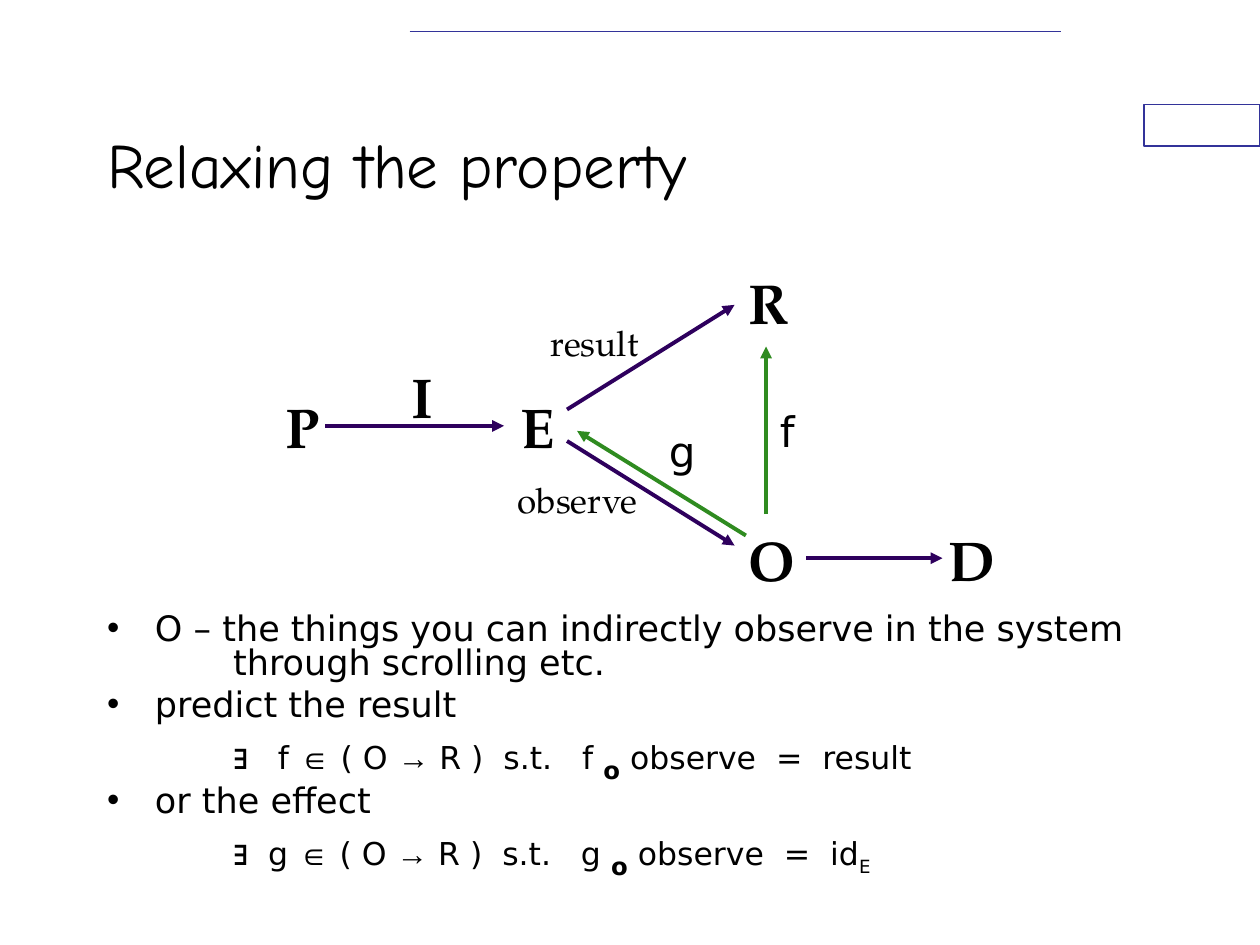
from lxml import etree
from pptx import Presentation
from pptx import util as u
from pptx.dml.color import RGBColor
from pptx.enum import shapes, text
from pptx.oxml import ns

SANS, SERIF, TITLE, SYMBOL = "DejaVu Sans", "TeX Gyre Pagella", "Comic Neue", "Arial"
BLACK, WHITE, FRAME, PURPLE, GREEN = "000000", "FFFFFF", "333399", "2E005D", "2F8B20"


def color(value):
    return RGBColor.from_string(value)


def add_xml(parent, tag, **attributes):
    return etree.SubElement(parent, ns.qn(tag), attributes)


def add_span(para, content, size=18, font=SANS, bold=False, baseline=0):
    """Add one formatted run to a paragraph."""
    span = para.add_run()
    span.text = content
    span.font.size = u.Pt(size)
    span.font.name = font
    span.font.bold = bold
    span.font.color.rgb = color(BLACK)
    if baseline:
        span.font._element.set("baseline", str(baseline * 1000))


class SlideBuilder:
    def __init__(self, page):
        self.page = page

    def place(self, box, left, top, width, height):
        box.left, box.top = u.Inches(left), u.Inches(top)
        box.width, box.height = u.Inches(width), u.Inches(height)

    def rectangle(self, left, top, width, height):
        box = self.page.shapes.add_shape(
            shapes.MSO_SHAPE.RECTANGLE, *map(u.Inches, (left, top, width, height)))
        box.shadow.inherit = False
        box.fill.solid()
        box.fill.fore_color.rgb = color(WHITE)
        box.line.color.rgb = color(FRAME)
        box.line.width = u.Pt(0.75)

    def line(self, start, end, stroke, width=2.25, arrow=True):
        line = self.page.shapes.add_connector(
            shapes.MSO_CONNECTOR.STRAIGHT, *map(u.Inches, (*start, *end)))
        line.line.color.rgb = color(stroke)
        line.line.width = u.Pt(width)
        if arrow:
            add_xml(line.line._get_or_add_ln(), "a:tailEnd", type="triangle")
        add_xml(line._element.spPr, "a:effectLst")

    def label(self, content, left, top, width, height, **style):
        box = self.page.shapes.add_textbox(*map(u.Inches, (left, top, width, height)))
        box.text_frame.word_wrap = False
        box.text_frame.auto_size = text.MSO_AUTO_SIZE.SHAPE_TO_FIT_TEXT
        add_span(box.text_frame.paragraphs[0], content, **style)

    def title(self, content, *area):
        box = self.page.shapes.title
        self.place(box, *area)
        frame = box.text_frame
        frame.auto_size = text.MSO_AUTO_SIZE.NONE
        frame.vertical_anchor = text.MSO_ANCHOR.MIDDLE
        frame.paragraphs[0].alignment = text.PP_ALIGN.LEFT
        add_span(frame.paragraphs[0], content, size=36, font=TITLE)

    def body(self, *area):
        box = self.page.placeholders[1]
        self.place(box, *area)
        box.text_frame.auto_size = text.MSO_AUTO_SIZE.NONE
        box.text_frame.vertical_anchor = text.MSO_ANCHOR.TOP
        return box.text_frame

    def list_item(self, frame, bullet, space_before):
        first = frame.paragraphs[0]
        para = frame.add_paragraph() if first.runs else first
        para.line_spacing = 0.8
        para.space_before = u.Pt(space_before)
        settings = para._p.get_or_add_pPr()
        settings.set("marL", str(u.Inches(0.38)))
        settings.set("indent", str(u.Inches(-0.38)))
        add_xml(add_xml(settings, "a:buClr"), "a:srgbClr", val=BLACK)
        add_xml(settings, "a:buChar", char=bullet)
        tabs = add_xml(settings, "a:tabLst")
        for inch in range(1, 9):
            add_xml(tabs, "a:tab", pos=str(u.Inches(inch)), algn="l")
        return para

    def bullet(self, frame, *lines):
        para = self.list_item(frame, "•", 5)
        for number, content in enumerate(lines):
            if number:
                para.add_line_break()
            add_span(para, content, size=20)

    def formula(self, frame, function, outcome, subscript=""):
        para = self.list_item(frame, " ", 4.5)
        add_span(para, "\t")
        add_span(para, "∃", size=20, font=SYMBOL)
        add_span(para, function)
        add_span(para, "∈", font=SYMBOL)
        add_span(para, " ( O ")
        add_span(para, "→", font=SYMBOL)
        add_span(para, f" R )  s.t.   {function.strip()} ")
        add_span(para, "o", size=24, bold=True, baseline=-25)
        add_span(para, f" observe  =  {outcome}")
        if subscript:
            add_span(para, subscript, baseline=-25)


def main():
    deck = Presentation()
    deck.slide_width, deck.slide_height = u.Inches(10), u.Inches(7.5)
    slide = SlideBuilder(deck.slides.add_slide(deck.slide_layouts[1]))

    # Page decoration
    slide.rectangle(9.08, 0.83, 0.92, 0.33)
    slide.line((3.25, 0.25), (8.42, 0.25), FRAME, width=1, arrow=False)

    # Title and list
    slide.title("Relaxing the property", 0.75, 0.67, 7.5, 1.25)
    frame = slide.body(0.75, 4.83, 8.5, 2.17)
    slide.bullet(frame, "O – the things you can indirectly observe in the system",
                 "\tthrough scrolling etc.")
    slide.bullet(frame, "predict the result")
    slide.formula(frame, "   f ", "result")
    slide.bullet(frame, "or the effect")
    slide.formula(frame, "  g ", "id", subscript="E")

    # Diagram nodes and the interpretation label
    for name, left, top, width in (
            ("P", 2.17, 3.07, 0.47), ("E", 4.03, 3.07, 0.47), ("R", 5.84, 2.08, 0.52),
            ("O", 5.84, 4.12, 0.57), ("D", 7.43, 4.12, 0.57), ("I", 3.17, 2.83, 0.37)):
        slide.label(name, left, top, width, 0.64, size=32, font=SERIF, bold=True)

    # Arrow names
    slide.label("result", 4.27, 2.5, 0.9, 0.44, size=20, font=SERIF)
    slide.label("observe", 4.01, 3.75, 1.16, 0.44, size=20, font=SERIF)
    slide.label("g", 5.21, 3.33, 0.4, 0.5, size=24)
    slide.label("f", 6.09, 3.17, 0.31, 0.5, size=24)

    # Arrows: given mappings in purple, the wanted f and g in green
    for start, end, stroke in (
            ((6.4, 4.43), (7.48, 4.43), PURPLE),
            ((2.58, 3.38), (4, 3.38), PURPLE),
            ((4.5, 3.25), (5.83, 2.42), PURPLE),
            ((4.5, 3.5), (5.83, 4.33), PURPLE),
            ((5.92, 4.25), (4.58, 3.42), GREEN),
            ((6.08, 4.08), (6.08, 2.75), GREEN)):
        slide.line(start, end, stroke)

    deck.save("out.pptx")


if __name__ == "__main__":
    main()
